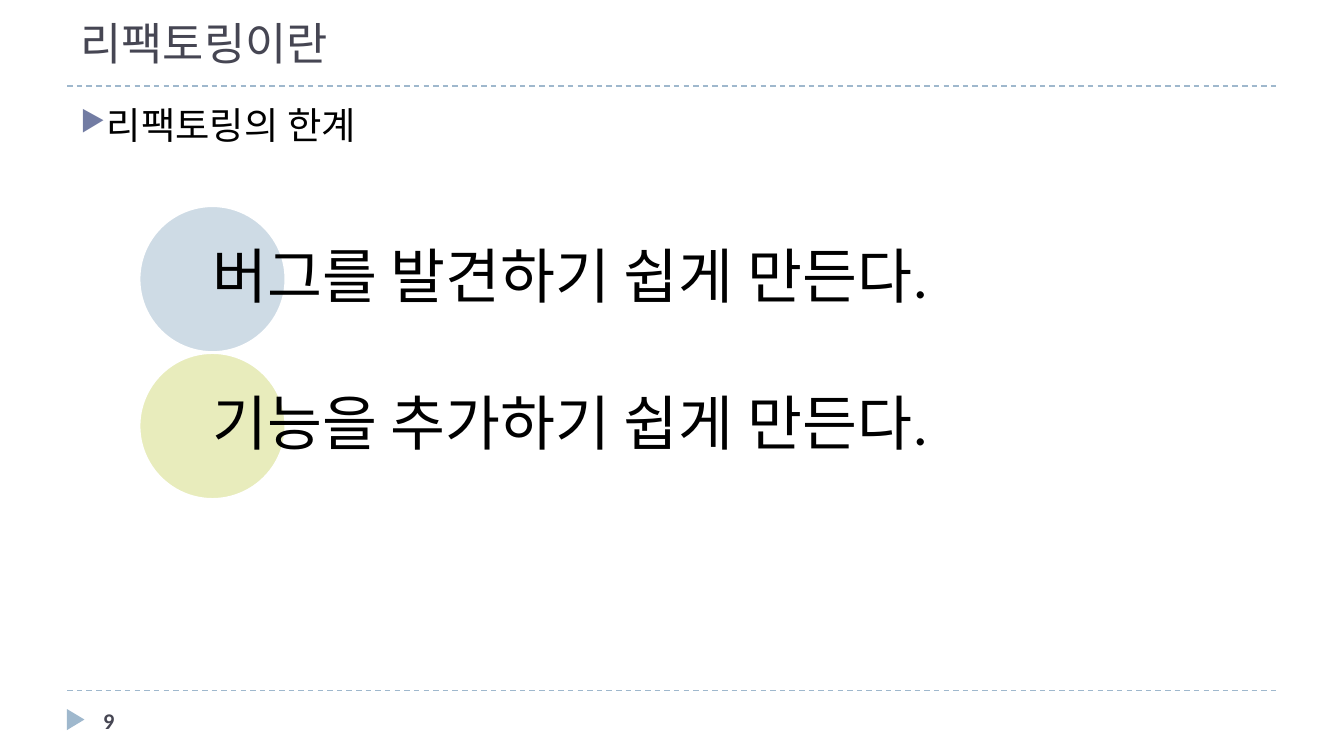
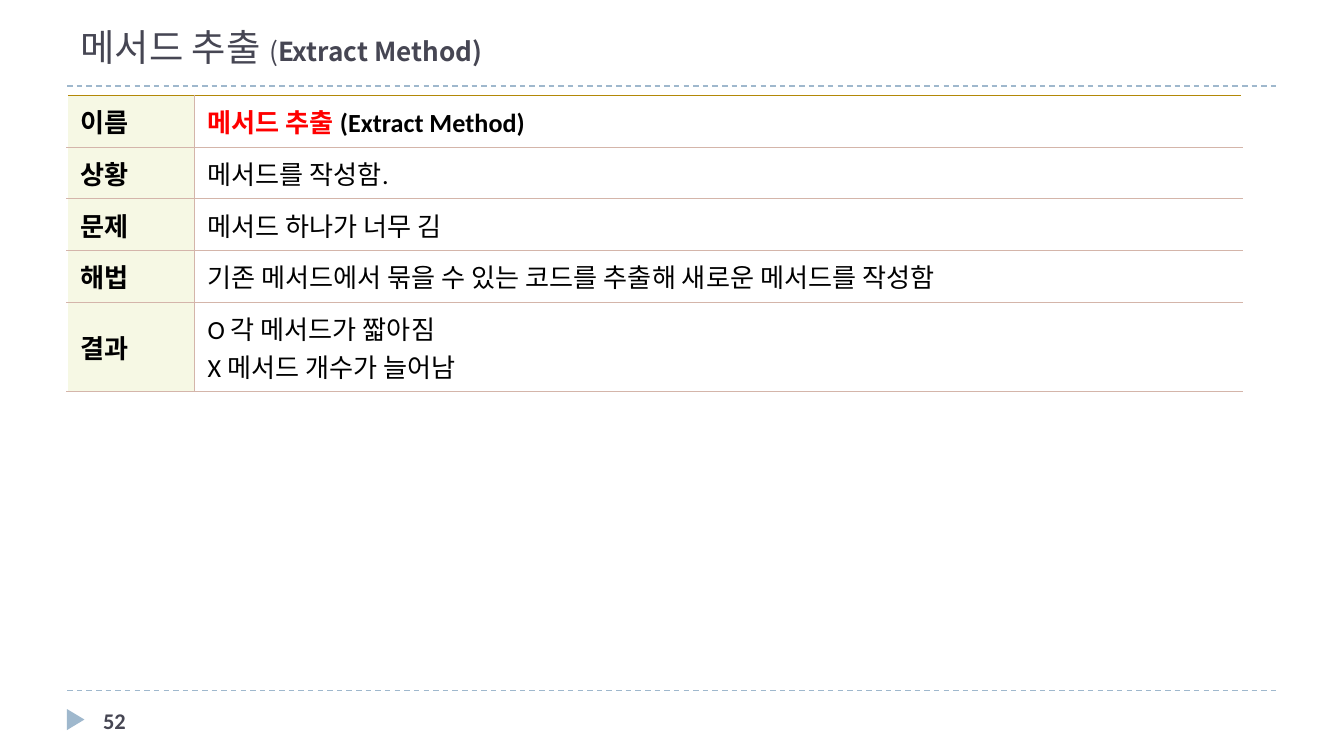
from lxml.etree import SubElement
from pptx import Presentation
from pptx.dml.color import RGBColor
from pptx.enum.dml import MSO_LINE
from pptx.enum.shapes import MSO_CONNECTOR, MSO_SHAPE
from pptx.enum.text import MSO_ANCHOR
from pptx.oxml import parse_xml
from pptx.oxml.ns import nsdecls, qn
from pptx.util import Pt

BLACK = RGBColor(0x00, 0x00, 0x00)
WHITE = RGBColor(0xFF, 0xFF, 0xFF)
SLATE = RGBColor(0x46, 0x46, 0x53)
SKY = RGBColor(0x9F, 0xB8, 0xCD)
INDIGO = RGBColor(0x72, 0x7C, 0xA3)
LIME = RGBColor(0xD2, 0xDA, 0x7A)
CREAM = RGBColor(0xF6, 0xF8, 0xE4)
RED = RGBColor(0xFF, 0x00, 0x00)
ROSE = RGBColor(0xD4, 0xB5, 0xAA)
OCHRE = RGBColor(0xB3, 0x88, 0x07)

LATIN, HANGUL, MONO = "Calibri", "Noto Sans CJK KR", "Courier New"
LEFT, WIDTH = 36, 648
TITLE_BOX = (LEFT, 9, WIDTH, 31.7)
BODY_BOX = (LEFT, 51.1, WIDTH, 312.5)
LIST_BOX = (74.5, 110.2, 459.4, 157.4)
TABLE_BOX = (LEFT, 51.1, 629.5, 158.5)
RULES = (46, 370)


def style(para, size, color, name=LATIN, bold=False):
    font = para.font
    font.size, font.bold, font.name = Pt(size), bold, name
    font.color.rgb = color


def add_text(slide, box, text, anchor=MSO_ANCHOR.TOP):
    """Add a wrapping text box; return its frame and first paragraph."""
    frame = slide.shapes.add_textbox(*map(Pt, box)).text_frame
    frame.word_wrap = True
    frame.vertical_anchor = anchor
    para = frame.paragraphs[0]
    if text:
        para.add_run().text = text
    return frame, para


def add_shape(slide, kind, box, color):
    shape = slide.shapes.add_shape(kind, *map(Pt, box))
    shape.shadow.inherit = False
    shape.fill.solid()
    shape.fill.fore_color.rgb = color
    return shape


def add_base(deck, number):
    """Start a slide with both dashed rules, the marker and the number."""
    slide = deck.slides.add_slide(deck.slide_layouts[6])
    for y in RULES:
        rule = slide.shapes.add_connector(
            MSO_CONNECTOR.STRAIGHT, Pt(LEFT), Pt(y), Pt(LEFT + WIDTH), Pt(y))
        rule.line.color.rgb = SKY
        rule.line.width = Pt(0.75)
        rule.line.dash_style = MSO_LINE.DASH
        SubElement(rule._element.spPr, qn("a:effectLst"))
    mark = add_shape(slide, MSO_SHAPE.ISOSCELES_TRIANGLE,
                     (34.9, 380.8, 11.3, 9.4), SKY)
    mark.rotation = 90
    mark.line.fill.background()
    para = add_text(slide, (48.2, 375.1, 156.2, 21.6), str(number))[1]
    style(para, 12, SLATE, bold=True)
    return slide


def add_title(slide, parts):
    """Write the title from (text, size, bold) parts."""
    para = add_text(slide, TITLE_BOX, "", MSO_ANCHOR.BOTTOM)[1]
    style(para, parts[0][1], SLATE, HANGUL)
    for text, size, bold in parts:
        run = para.add_run()
        run.text = text
        run.font.size, run.font.bold = Pt(size), bold


def add_bullet(slide, box, text):
    para = add_text(slide, box, text)[1]
    style(para, 20, BLACK, MONO)
    para.space_before = Pt(3.8)
    props = para._p.pPr
    props.set("marL", str(Pt(13.7)))
    props.set("indent", str(Pt(-13.7)))
    ns = nsdecls("a")
    for xml in (f'<a:buClr {ns}><a:srgbClr val="{INDIGO}"/></a:buClr>',
                f'<a:buSzPct {ns} val="76000"/>',
                f'<a:buChar {ns} char="▶"/>'):
        props.find(qn("a:defRPr")).addprevious(parse_xml(xml))


def add_list(slide, box, items):
    """Stack (text, colour) lines, each starting at the centre of a disc."""
    left, top, width, height = box
    side = height / len(items)
    for i, (text, color) in enumerate(items):
        y = top + i * side
        disc = add_shape(slide, MSO_SHAPE.OVAL, (left, y, side, side), color)
        disc.line.color.rgb = WHITE
        disc.line.width = Pt(1.5)
        tint = disc._element.spPr.find(qn("a:solidFill"))[0]
        SubElement(tint, qn("a:alpha")).set("val", "50000")
        frame, para = add_text(
            slide, (left + side / 2, y, width - side / 2, side),
            text, MSO_ANCHOR.MIDDLE)
        frame.margin_left = frame.margin_right = 0
        frame.margin_top = frame.margin_bottom = Pt(3)
        style(para, 32, BLACK)
        para.line_spacing = 0.9
        para.space_after = Pt(11.2)


def set_edges(cell, edges):
    """Draw cell borders from (side, colour, width), in the order L, R, T, B."""
    props = cell._tc.get_or_add_tcPr()
    for i, (side, color, width) in enumerate(edges):
        props.insert(i, parse_xml(
            f'<a:ln{side} {nsdecls("a")} w="{Pt(width)}"><a:solidFill>'
            f'<a:srgbClr val="{color}"/></a:solidFill></a:ln{side}>'))


def add_table(slide, box, rows):
    """Place (label, lines) rows; a line is a list of (text, colour) parts."""
    width = box[2]
    table = slide.shapes.add_table(len(rows), 2, *map(Pt, box)).table
    table.first_row = table.horz_banding = False
    table.columns[0].width = Pt(68)
    table.columns[1].width = Pt(width - 68)
    for i, (label, lines) in enumerate(rows):
        table.rows[i].height = Pt(27.7 + 20 * (len(lines) - 1))
        head, body = table.cell(i, 0), table.cell(i, 1)
        head.fill.solid()
        head.fill.fore_color.rgb = CREAM
        body.fill.background()
        head.text = label
        style(head.text_frame.paragraphs[0], 14, BLACK, bold=True)
        frame = body.text_frame
        for j, parts in enumerate(lines):
            para = frame.add_paragraph() if j else frame.paragraphs[0]
            style(para, 14, BLACK, bold=i == 0)
            for text, color in parts:
                run = para.add_run()
                run.text = text
                run.font.color.rgb = color
        over = ("T", ROSE, 0.5) if i else ("T", OCHRE, 1)
        for cell, side in ((head, "R"), (body, "L")):
            cell.vertical_anchor = MSO_ANCHOR.MIDDLE
            set_edges(cell, [(side, ROSE, 0.5), over, ("B", ROSE, 0.5)])


def add_limits(deck):
    slide = add_base(deck, 9)
    add_title(slide, [("리팩토링이란", 24, False)])
    add_bullet(slide, BODY_BOX, "리팩토링의 한계")
    add_list(slide, LIST_BOX, [("버그를 발견하기 쉽게 만든다.", SKY),
                               ("기능을 추가하기 쉽게 만든다.", LIME)])


def add_extract(deck):
    slide = add_base(deck, 52)
    add_title(slide, [("메서드 추출 ", 20, False), ("(", 14, False),
                      ("Extract Method)", 14, True)])
    add_table(slide, TABLE_BOX, [
        ("이름", [[("메서드 추출 ", RED), ("(Extract Method)", BLACK)]]),
        ("상황", [[("메서드를 작성함.", BLACK)]]),
        ("문제", [[("메서드 하나가 너무 김", BLACK)]]),
        ("해법", [[("기존 메서드에서 묶을 수 있는 코드를 추출해 "
                  "새로운 메서드를 작성함", BLACK)]]),
        ("결과", [[("O 각 메서드가 짧아짐", BLACK)],
                [("X 메서드 개수가 늘어남", BLACK)]]),
    ])


def main():
    deck = Presentation()
    deck.slide_width, deck.slide_height = Pt(720), Pt(405)
    add_limits(deck)
    add_extract(deck)
    deck.save("out.pptx")


if __name__ == "__main__":
    main()
